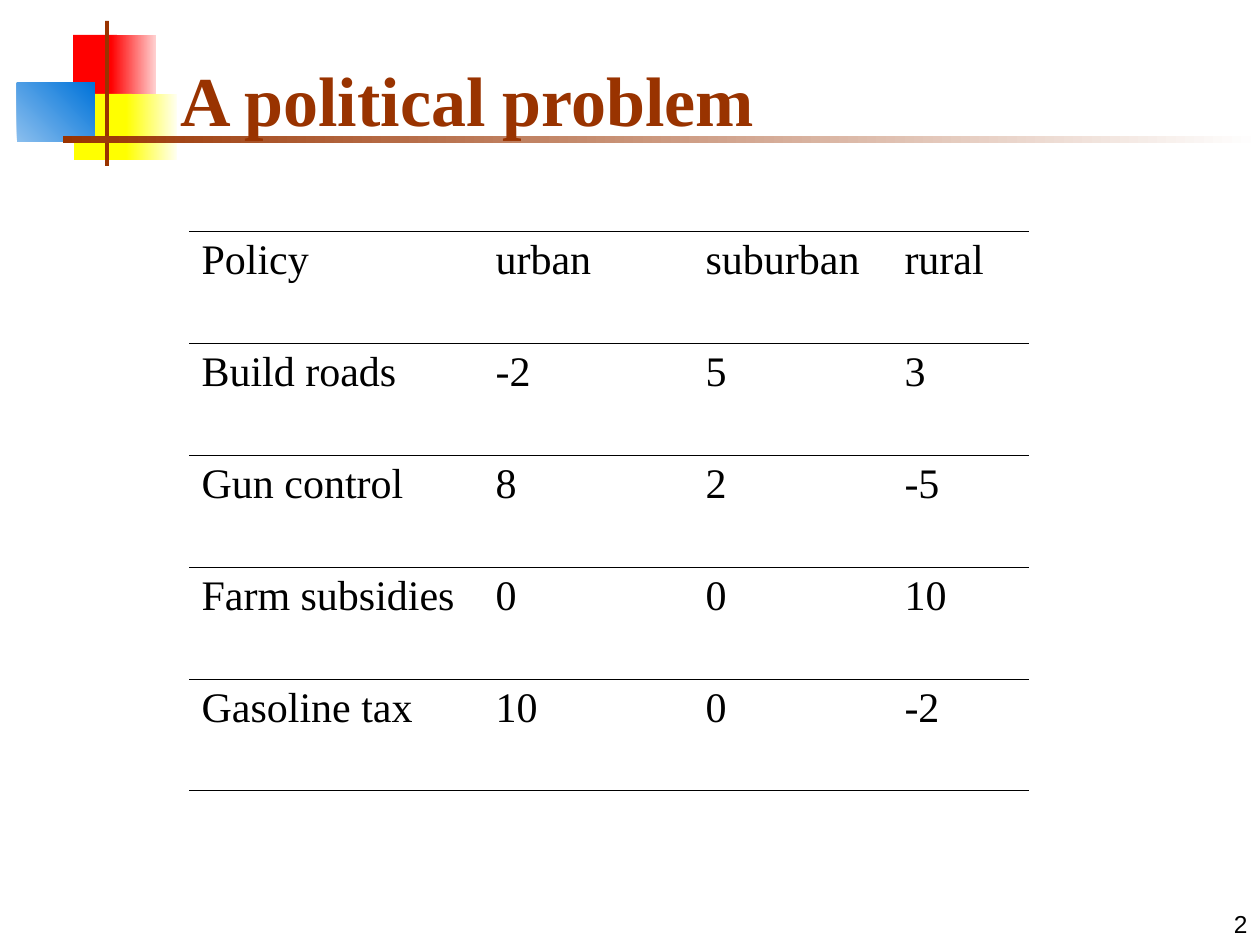
from lxml.etree import SubElement
from pptx import Presentation
from pptx.dml.color import RGBColor
from pptx.enum.shapes import MSO_SHAPE
from pptx.enum.text import MSO_ANCHOR, MSO_AUTO_SIZE, PP_ALIGN
from pptx.oxml.ns import qn
from pptx.util import Emu, Pt

COLORS = {
    "red": "FF0000", "pink": "FFD1D1", "yellow": "FFFF00", "cream": "FFFFF0",
    "sky": "8BBFEE", "blue": "0073D9", "brown": "993300", "white": "FFFFFF",
    "black": "000000",
}
SERIF, SANS = "Times New Roman", "Arial"
ROWS = [
    ["Policy", "urban", "suburban", "rural"],
    ["Build roads", "-2", "5", "3"],
    ["Gun control", "8", "2", "-5"],
    ["Farm subsidies", "0", "0", "10"],
    ["Gasoline tax", "10", "0", "-2"],
]
COL_WIDTHS = [294, 210, 199, 137]
ROW_HEIGHT = 112


def px(n):
    """Convert pixels, 126 to the inch, to EMU."""
    return Emu(round(n * 914400 / 126))


def rgb(name):
    return RGBColor.from_string(COLORS[name])


def format_text(tf, font, size, color, bold=False, align=PP_ALIGN.LEFT):
    p = tf.paragraphs[0]
    p.alignment = align
    for r in p.runs:
        r.font.name, r.font.size, r.font.bold = font, Pt(size), bold
        r.font.color.rgb = rgb(color)


def add_block(s, x, y, w, h, start, end=None, angle=0):
    """Add a borderless rectangle, shaded from start to end if end is given."""
    sp = s.shapes.add_shape(MSO_SHAPE.RECTANGLE, px(x), px(y), px(w), px(h))
    sp.shadow.inherit = False
    sp.line.fill.background()
    if end is None:
        sp.fill.solid()
        sp.fill.fore_color.rgb = rgb(start)
        return
    sp.fill.gradient()
    sp.fill.gradient_angle = angle
    for stop, name, position in zip(sp.fill.gradient_stops, (start, end), (0, 1)):
        stop.color.rgb = rgb(name)
        stop.position = position


def add_ornament(s, x, y):
    blocks = [
        (56, 14, 44, 66, "red"),
        (94, 14, 45, 66, "red", "pink"),
        (57, 73, 58, 66, "yellow"),
        (109, 73, 51, 66, "yellow", "cream"),
        (0, 62, 78, 59, "sky", "blue", 45),
        (88, 0, 4, 145, "brown"),
        (46, 115, 1197, 7, "brown", "white"),
    ]
    for dx, dy, *rest in blocks:
        add_block(s, x + dx, y + dy, *rest)


def add_title(s, x, y, w, h, text):
    sp = s.shapes.title
    sp.element.getparent().append(sp.element)  # in front of the ornament
    sp.left, sp.top, sp.width, sp.height = px(x), px(y), px(w), px(h)
    tf = sp.text_frame
    tf.text = text
    tf.auto_size = MSO_AUTO_SIZE.NONE
    tf.vertical_anchor = MSO_ANCHOR.BOTTOM
    format_text(tf, SERIF, 40, "brown", bold=True)


def add_page_number(s, x, y, w, h, text):
    tf = s.shapes.add_textbox(px(x), px(y), px(w), px(h)).text_frame
    tf.text = text
    tf.word_wrap = True
    tf.vertical_anchor = MSO_ANCHOR.BOTTOM
    format_text(tf, SANS, 14, "black", align=PP_ALIGN.RIGHT)


def rule_cell(cell):
    """Draw thin lines above and below the cell and none at its sides."""
    tcPr = cell._tc.get_or_add_tcPr()
    for side in ("lnL", "lnR"):
        SubElement(SubElement(tcPr, qn(f"a:{side}"), w="0"), qn("a:noFill"))
    for side in ("lnT", "lnB"):
        ln = SubElement(tcPr, qn(f"a:{side}"), w=str(Pt(0.45)))
        fill = SubElement(ln, qn("a:solidFill"))
        SubElement(fill, qn("a:srgbClr"), val=COLORS["black"])


def add_policy_table(s, x, y):
    table = s.shapes.add_table(
        len(ROWS), len(COL_WIDTHS), px(x), px(y),
        px(sum(COL_WIDTHS)), px(ROW_HEIGHT * len(ROWS))).table
    table.first_row = table.horz_banding = False
    for col, width in zip(table.columns, COL_WIDTHS):
        col.width = px(width)
    for row, texts in zip(table.rows, ROWS):
        row.height = px(ROW_HEIGHT)
        for cell, text in zip(row.cells, texts):
            cell.text_frame.text = text
            format_text(cell.text_frame, SERIF, 24, "black")
            rule_cell(cell)
            cell.fill.background()


def main():
    prs = Presentation()
    prs.slide_width, prs.slide_height = px(1260), px(945)
    s = prs.slides.add_slide(prs.slide_layouts[5])
    add_ornament(s, 17, 21)
    add_page_number(s, 998, 882, 262, 63, "2")
    add_title(s, 168, 31, 1074, 116, "A political problem")
    add_policy_table(s, 189, 231)
    prs.save("out.pptx")


if __name__ == "__main__":
    main()
